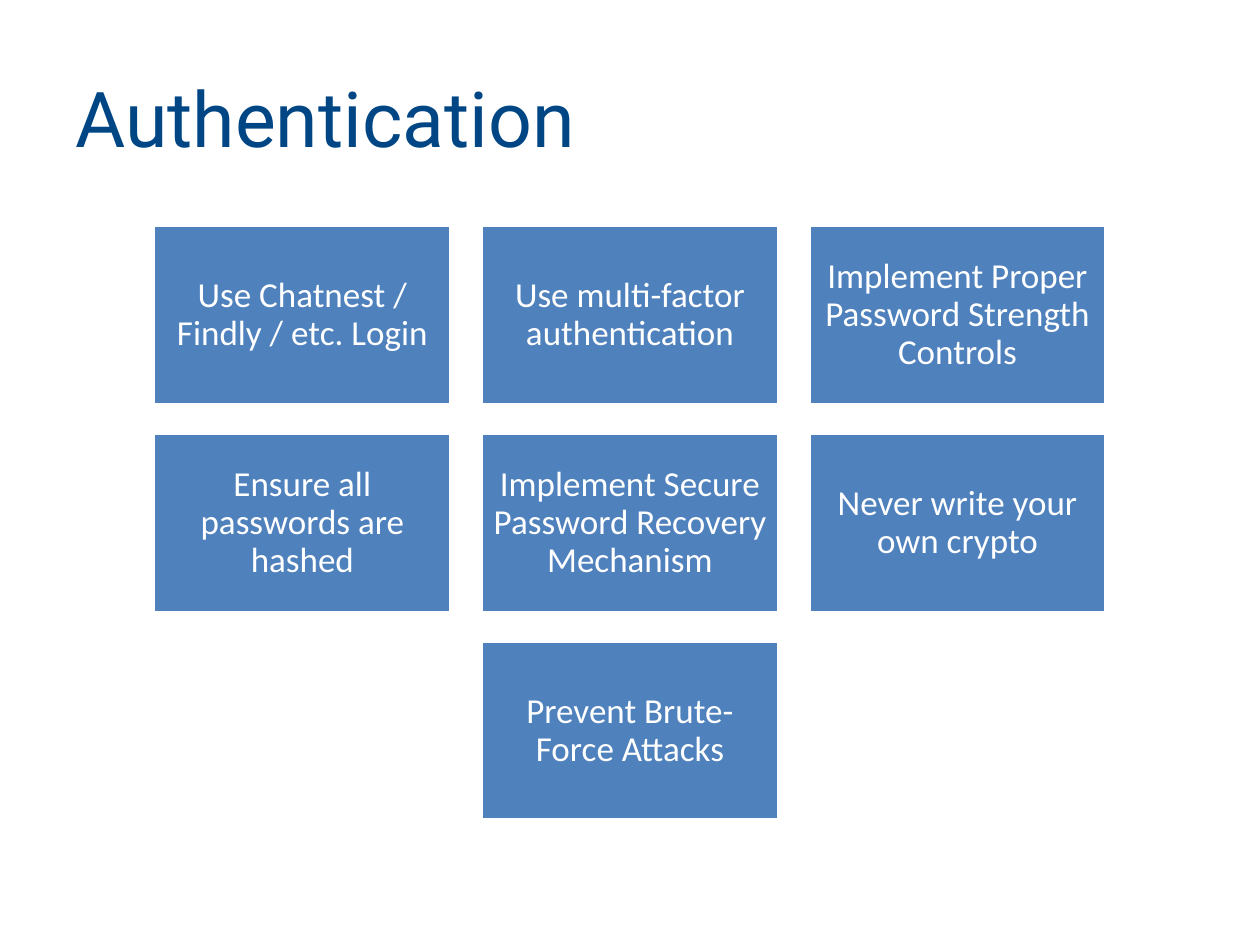
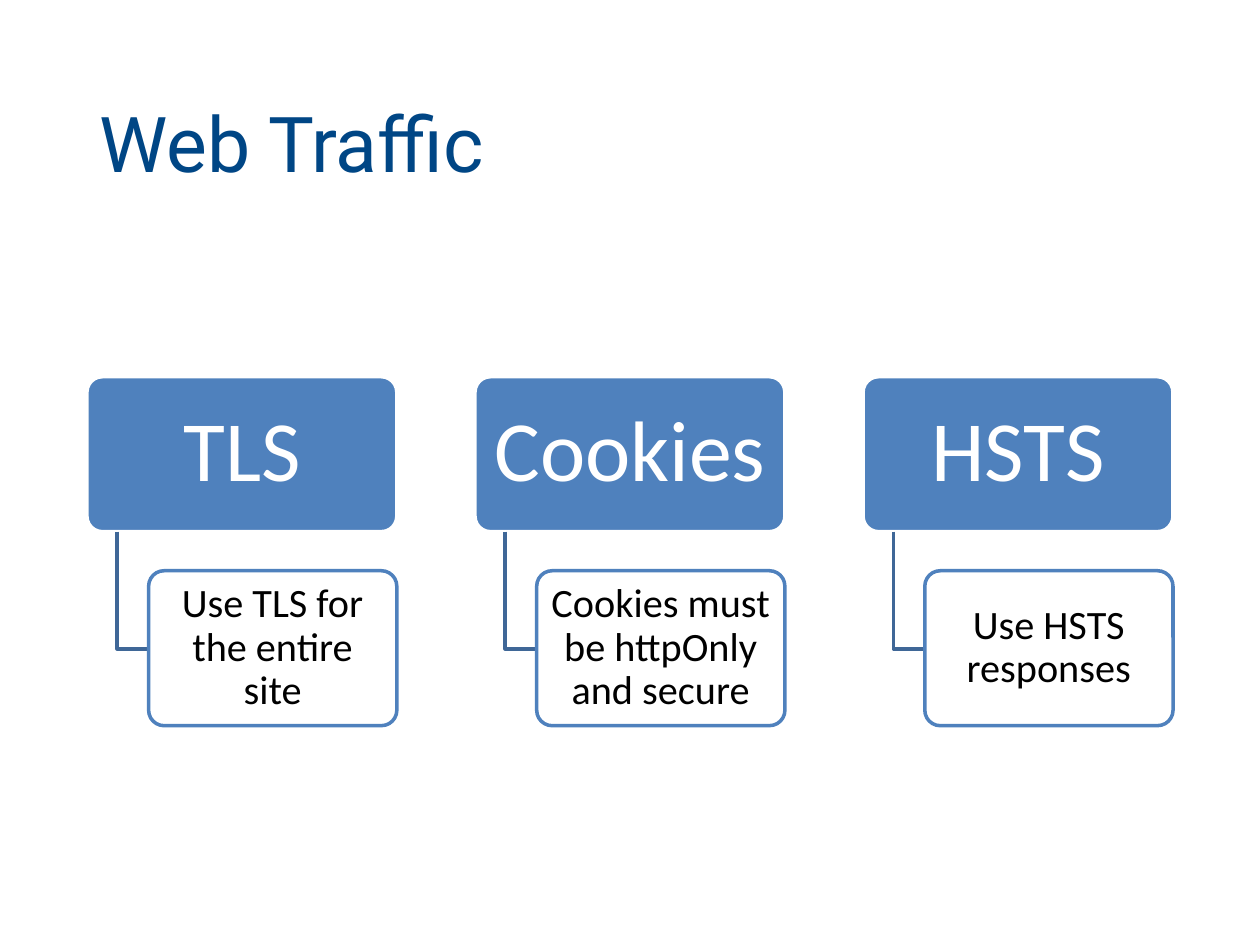
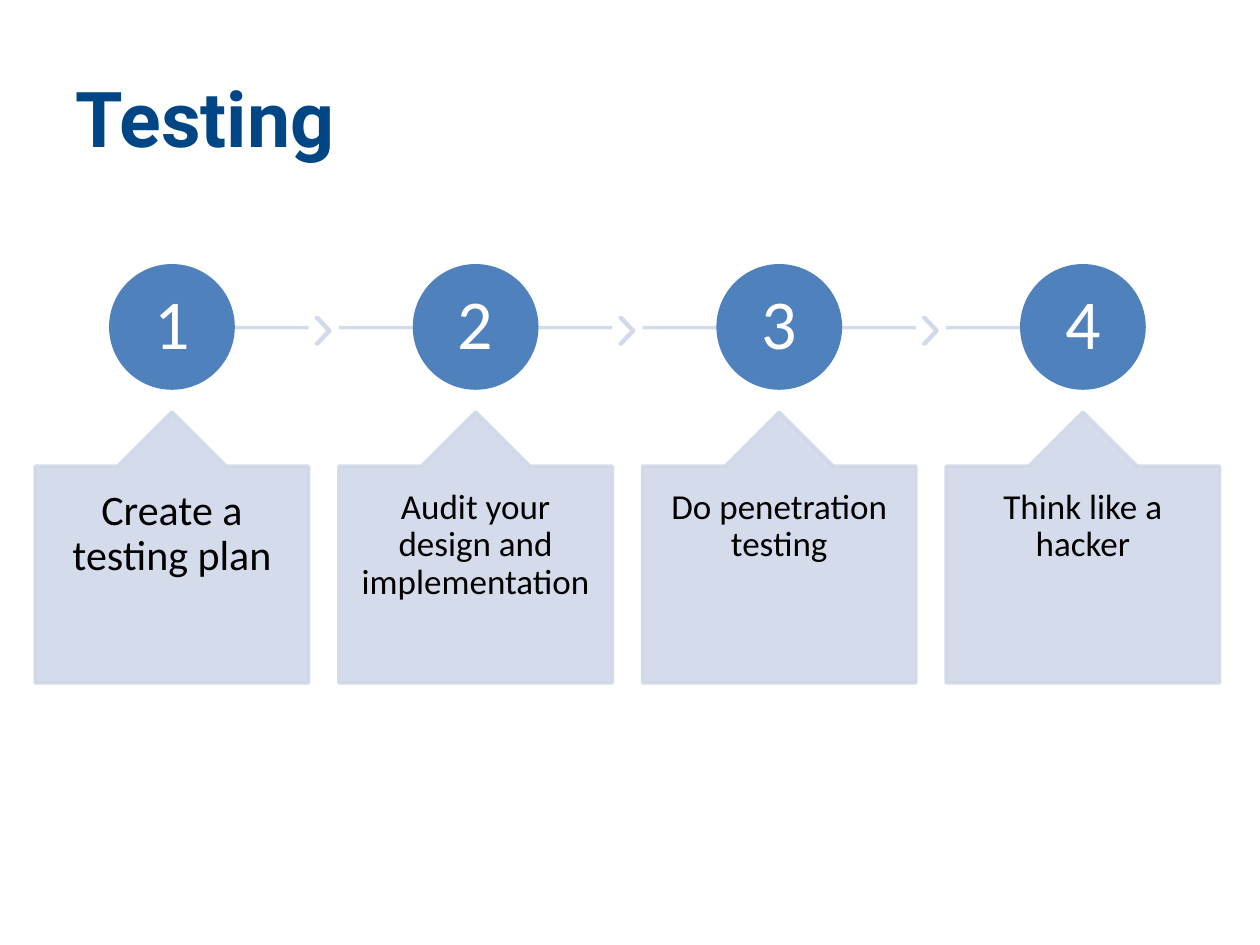
from lxml import etree
from pptx import Presentation
from pptx.dml.color import RGBColor
from pptx.enum import shapes, text
from pptx.oxml import ns
from pptx.util import Inches, Pt

# Shared look
NAVY, BLUE, STEEL, PALE = "004685", "4F81BD", "3F6797", "D0D8E8"
WHITE, BLACK = "FFFFFF", "000000"
HEAD, BODY = "Roboto", "Calibri"
KIND = shapes.MSO_SHAPE
ANCHOR = text.MSO_ANCHOR


def rgb(code):
    return RGBColor.from_string(code)


def fade(shape):
    """Make the colours set so far 90 percent opaque."""
    for color in shape._element.spPr.iter(ns.qn("a:srgbClr")):
        etree.SubElement(color, ns.qn("a:alpha"), val="90000")


def stroke(shape, color):
    shape.line.color.rgb = rgb(color)
    shape.line.width = Pt(2)


def write(shape, words, size, color, font=BODY, pad=(0.1, 0.05),
          anchor=ANCHOR.MIDDLE, align=text.PP_ALIGN.CENTER, bold=False):
    frame = shape.text_frame
    frame.word_wrap = True
    frame.vertical_anchor = anchor
    frame.margin_left = frame.margin_right = Inches(pad[0])
    frame.margin_top = frame.margin_bottom = Inches(pad[1])
    para = frame.paragraphs[0]
    para.text = words
    para.alignment = align
    para.font.name, para.font.size = font, Pt(size)
    para.font.bold = bold
    para.font.color.rgb = rgb(color)
    return para


def title(slide, words, box=(0.5, 0.3, 9, 1.25), bold=False):
    area = slide.shapes.add_textbox(*map(Inches, box))
    write(area, words, 44, NAVY, HEAD, align=text.PP_ALIGN.LEFT, bold=bold)


def block(slide, kind, box, fill, edge, adjust=(), clear=False):
    shape = slide.shapes.add_shape(kind, *map(Inches, box))
    shape.shadow.inherit = False
    for i, value in enumerate(adjust):
        shape.adjustments[i] = value
    shape.fill.solid()
    shape.fill.fore_color.rgb = rgb(fill)
    if clear:
        fade(shape)
    stroke(shape, edge)
    return shape


def label(shape, words, size, color, **style):
    write(shape, words, size, color, **style).line_spacing = 0.9


def elbow(slide, x, top, width, height):
    path = slide.shapes.build_freeform(Inches(x), Inches(top))
    path.add_line_segments([(Inches(x), Inches(top + height)),
                            (Inches(x + width), Inches(top + height))],
                           close=False)
    shape = path.convert_to_shape()
    shape.shadow.inherit = False
    shape.fill.background()
    stroke(shape, STEEL)


def rail(slide, start, end, y):
    line = slide.shapes.add_connector(
        shapes.MSO_CONNECTOR.STRAIGHT,
        Inches(start), Inches(y), Inches(end), Inches(y))
    stroke(line, PALE)
    fade(line)
    etree.SubElement(line._element.spPr, ns.qn("a:effectLst"))


# Slides
def logins(slide):
    title(slide, "Authentication")
    rules = ["Use Chatnest / Findly / etc. Login",
             "Use multi-factor authentication",
             "Implement Proper Password Strength Controls",
             "Ensure all passwords are hashed",
             "Implement Secure Password Recovery Mechanism",
             "Never write your own crypto",
             "Prevent Brute-Force Attacks"]
    for i, rule in enumerate(rules):
        row, col = divmod(i, 3)
        if i == len(rules) - 1:
            col = 1  # the last tile is centred
        tile = block(slide, KIND.RECTANGLE,
                     (1.22 + 2.6 * col, 1.79 + 1.65 * row, 2.36, 1.42),
                     BLUE, WHITE)
        label(tile, rule, 20, WHITE, pad=(0.08, 0.08))


def traffic(slide):
    title(slide, "Web Traffic", (0.69, 0.4, 8.62, 1.45))
    topics = [("TLS", "Use TLS for the entire site"),
              ("Cookies", "Cookies must be httpOnly and secure"),
              ("HSTS", "Use HSTS responses")]
    for i, (topic, advice) in enumerate(topics):
        x = 0.69 + 3.08 * i
        head = block(slide, KIND.ROUNDED_RECTANGLE, (x, 2.99, 2.46, 1.23),
                     BLUE, WHITE, [0.1])
        label(head, topic, 49, WHITE, pad=(0.1, 0.07))
        elbow(slide, x + 0.24, 4.22, 0.25, 0.93)
        card = block(slide, KIND.ROUNDED_RECTANGLE,
                     (x + 0.49, 4.53, 1.97, 1.23), WHITE, BLUE, [0.1],
                     clear=True)
        label(card, advice, 23, BLACK, pad=(0.05, 0.03))


def testing(slide):
    title(slide, "Testing", bold=True)
    steps = [("Create a testing plan", 24),
             ("Audit your design and implementation", 20),
             ("Do penetration testing", 20),
             ("Think like a hacker", 20)]
    wide, last = 2.17, len(steps) - 1
    for i, (step, size) in enumerate(steps):
        x = 0.28 + 2.41 * i
        mid = x + wide / 2
        rail(slide, mid if i == 0 else x, mid if i == last else x + wide, 2.6)
        if i < last:
            mark = block(slide, KIND.CHEVRON, (x + 2.23, 2.52, 0.11, 0.21),
                         PALE, PALE, [0.9])
            fade(mark)
        disc = block(slide, KIND.OVAL, (x + 0.6, 2.11, 0.97, 0.97),
                     BLUE, BLUE)
        label(disc, str(i + 1), 40, WHITE, pad=(0.04, 0.04))
        note = block(slide, KIND.UP_ARROW_CALLOUT, (x, 3.27, wide, 2.15),
                     PALE, PALE, [0.5, 0.2, 0.2, 0.8])
        fade(note)
        label(note, step, size, BLACK, pad=(0.17, 0.18), anchor=ANCHOR.TOP)


def main():
    deck = Presentation()
    deck.slide_width, deck.slide_height = Inches(10), Inches(7.5)
    for build in (logins, traffic, testing):
        build(deck.slides.add_slide(deck.slide_layouts[6]))
    deck.save("out.pptx")


if __name__ == "__main__":
    main()
